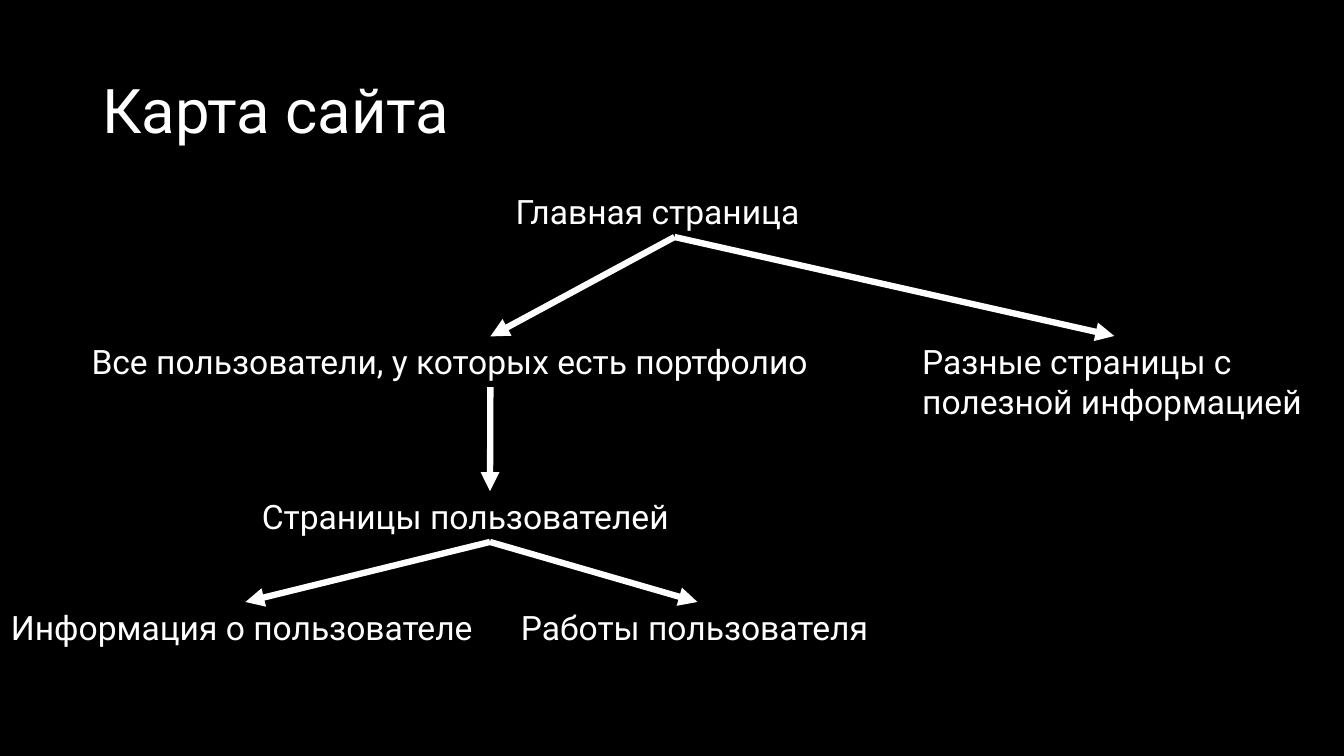
from lxml import etree
from pptx import Presentation
from pptx.dml.color import RGBColor
from pptx.enum.shapes import MSO_CONNECTOR
from pptx.enum.text import MSO_ANCHOR
from pptx.oxml.ns import qn
from pptx.util import Pt

STRAIGHT = MSO_CONNECTOR.STRAIGHT
TOP, MIDDLE = MSO_ANCHOR.TOP, MSO_ANCHOR.MIDDLE
COLORS = {"background": "000000", "text": "FFFFFF", "arrow": "FFFFFF"}


class SiteMap:
    font = "Roboto"
    arrow_width = 4.5

    def __init__(self, page):
        self.page = page
        fill = page.background.fill
        fill.solid()
        fill.fore_color.rgb = self.color("background")

    def color(self, name):
        return RGBColor.from_string(COLORS[name])

    def text(self, words, left, top, width, height, size=24, anchor=TOP, spacing=1.0):
        box = self.page.shapes.add_textbox(Pt(left), Pt(top), Pt(width), Pt(height))
        frame = box.text_frame
        frame.word_wrap = True
        frame.vertical_anchor = anchor
        para = frame.paragraphs[0]
        para.line_spacing = spacing
        span = para.add_run()
        span.text = words
        span.font.name = self.font
        span.font.size = Pt(size)
        span.font.color.rgb = self.color("text")
        return box

    def arrow(self, parent, child):
        """Join the bottom centre of the parent to the top centre of the child."""
        line = self.page.shapes.add_connector(
            STRAIGHT,
            parent.left + parent.width // 2, parent.top + parent.height,
            child.left + child.width // 2, child.top)
        line.line.color.rgb = self.color("arrow")
        line.line.width = Pt(self.arrow_width)
        etree.SubElement(line.line._get_or_add_ln(), qn("a:tailEnd"), type="triangle")
        etree.SubElement(line._element.spPr, qn("a:effectLst"))


deck = Presentation()
deck.slide_width, deck.slide_height = Pt(960), Pt(540)
site = SiteMap(deck.slides.add_slide(deck.slide_layouts[6]))

# Title
site.text("Карта сайта", 66, 28.8, 828, 104.4, size=44, anchor=MIDDLE, spacing=0.9)

# Pages of the site: words, left, top, width, height
nodes = {
    "home": ("Главная страница", 361.3, 133, 241, 36.3),
    "users": ("Все пользователи, у которых есть портфолио", 58.3, 240.3, 584, 36.3),
    "articles": ("Разные страницы с полезной информацией", 651.6, 240, 288.7, 65.4),
    "profiles": ("Страницы пользователей", 180, 350.8, 340, 36.3),
    "about": ("Информация о пользователе", 0.7, 430, 349.2, 36.3),
    "works": ("Работы пользователя", 365, 430, 266.4, 36.3),
}
boxes = {name: site.text(*node) for name, node in nodes.items()}

# Links from each page to the pages below it
links = {
    "home": ("users", "articles"),
    "users": ("profiles",),
    "profiles": ("about", "works"),
}
for parent, children in links.items():
    for child in children:
        site.arrow(boxes[parent], boxes[child])

deck.save("out.pptx")
